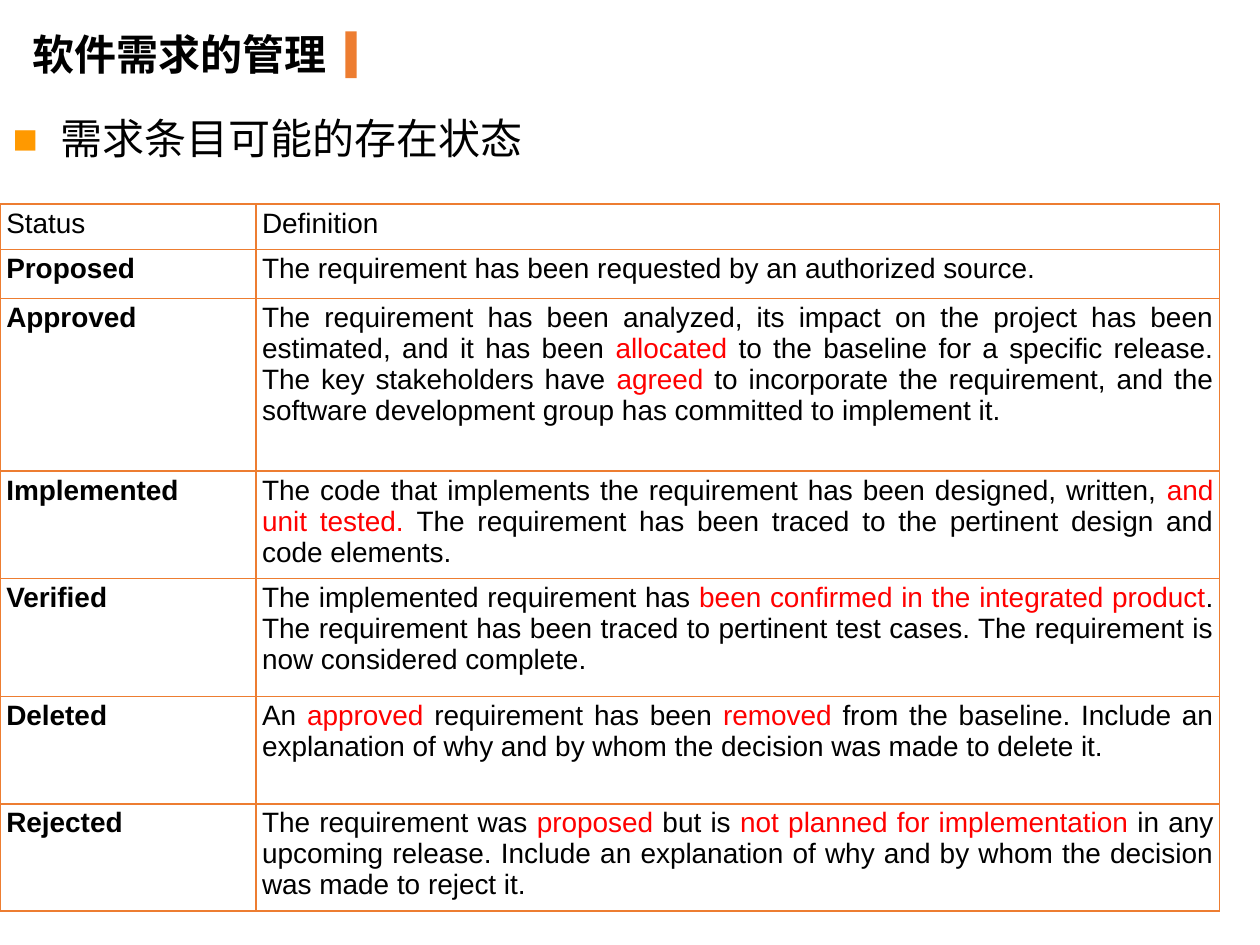
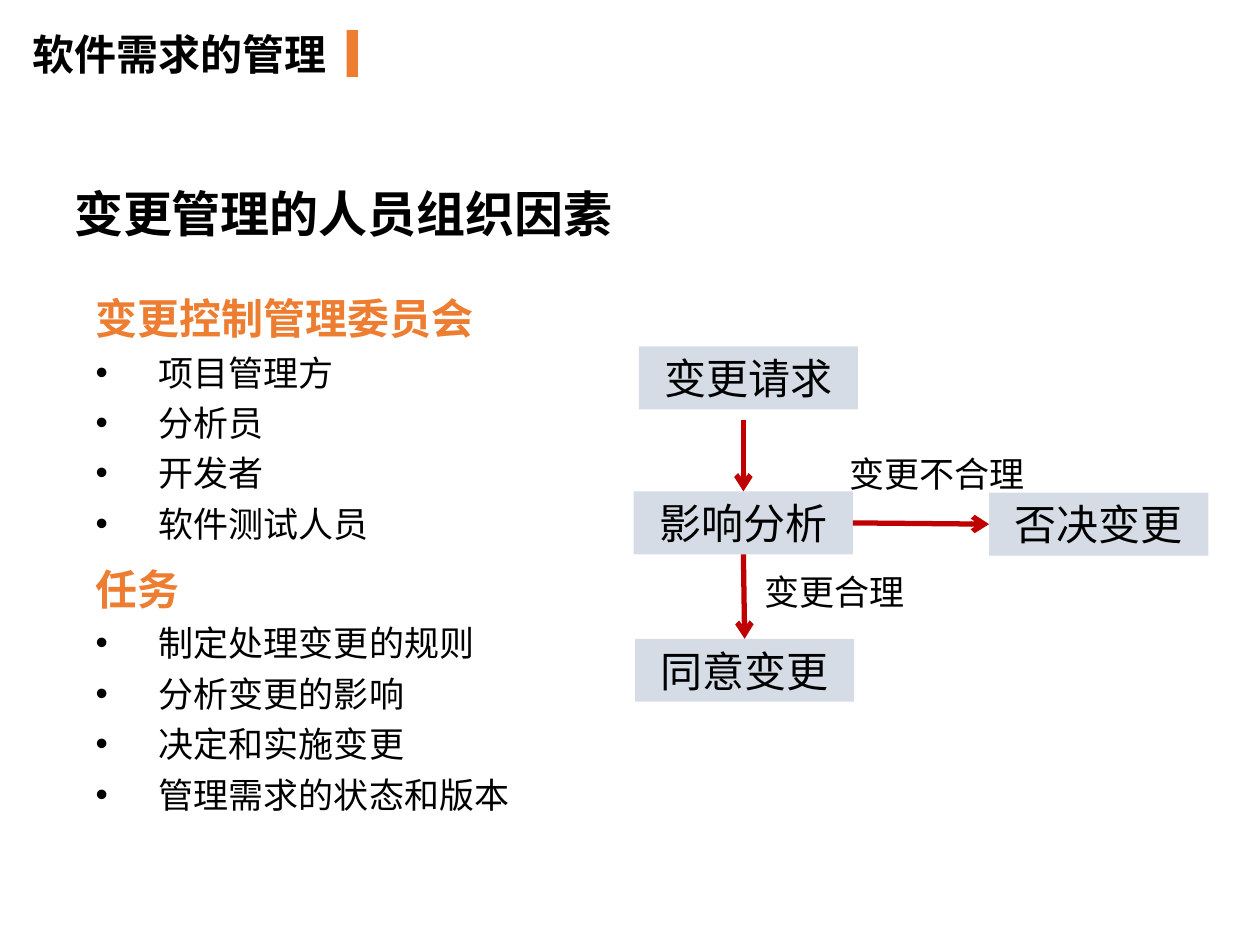
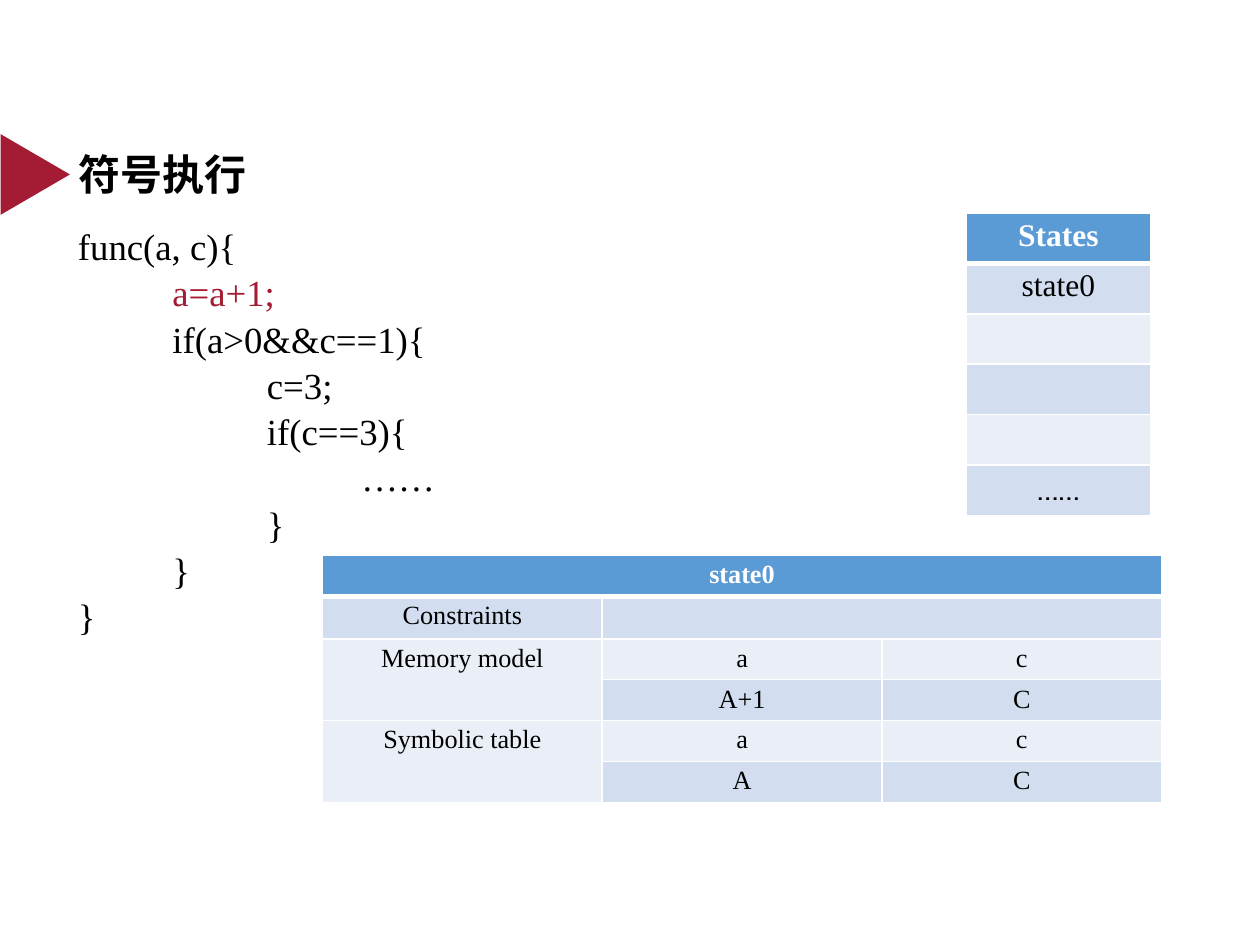
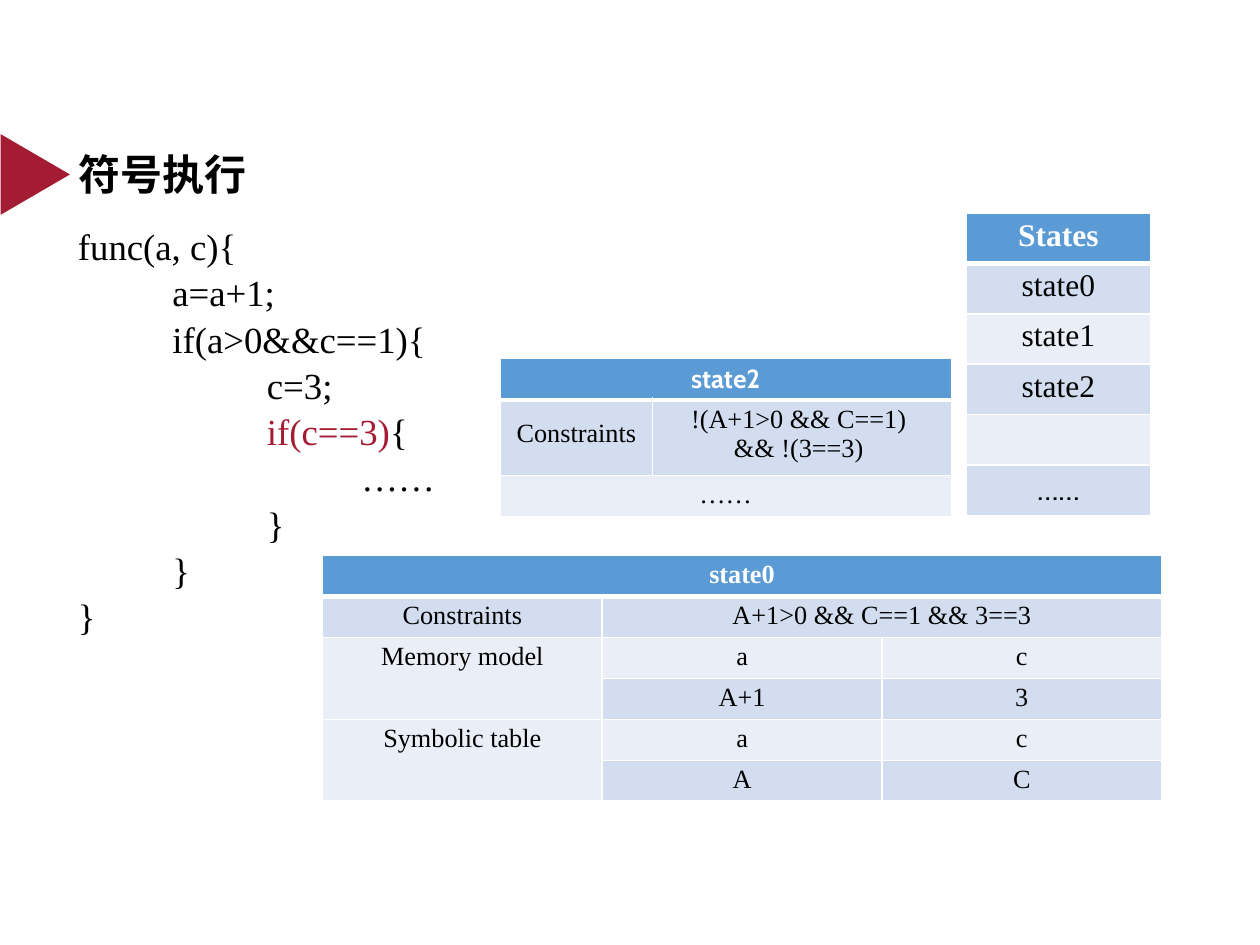
from dataclasses import dataclass
from typing import NamedTuple, Optional

from lxml.etree import SubElement
from pptx import Presentation
from pptx.dml.color import RGBColor
from pptx.enum.shapes import MSO_CONNECTOR, MSO_SHAPE
from pptx.enum.text import MSO_ANCHOR, MSO_AUTO_SIZE, PP_ALIGN
from pptx.oxml.ns import qn
from pptx.util import Inches, Pt

# Shared colours and fonts
BLACK = RGBColor(0x00, 0x00, 0x00)
WHITE = RGBColor(0xFF, 0xFF, 0xFF)
RED = RGBColor(0xFF, 0x00, 0x00)
ORANGE = RGBColor(0xED, 0x7D, 0x31)
AMBER = RGBColor(0xFF, 0x99, 0x00)
CRIMSON = RGBColor(0xA4, 0x1C, 0x34)
ARROW_RED = RGBColor(0xC0, 0x00, 0x00)
STEP_GREY = RGBColor(0xD6, 0xDC, 0xE5)
HEADER_BLUE = RGBColor(0x5B, 0x9B, 0xD5)
BAND_DARK = RGBColor(0xD2, 0xDE, 0xEF)
BAND_LIGHT = RGBColor(0xEA, 0xEF, 0xF7)

CHINESE = "Noto Sans CJK SC"
SANS = "Arial"
SERIF = "Times New Roman"
ROUNDED = "Cabin"

TITLE_AND_BODY, TITLE_ONLY = 1, 5


class Frame(NamedTuple):
    left: float
    top: float
    width: float
    height: float

    def lengths(self) -> list:
        return [Inches(value) for value in self]


@dataclass(frozen=True)
class Style:
    size: float
    font: str = CHINESE
    color: RGBColor = BLACK
    bold: bool = False
    accent: RGBColor = RED
    align: PP_ALIGN = PP_ALIGN.LEFT
    spacing: Optional[float] = None


@dataclass(frozen=True)
class Cell:
    row: int
    column: int
    text: str
    rows: int = 1
    columns: int = 1
    font: str = SERIF
    spacing: Optional[float] = None


TITLE = Style(24, bold=True)
STEP = Style(24, align=PP_ALIGN.CENTER)
STEP_LABEL = Style(20, align=PP_ALIGN.CENTER)
CODE = Style(21, SERIF, accent=CRIMSON, spacing=1.05)


# Text
def set_font(span, style: Style, color: RGBColor) -> None:
    span.font.size = Pt(style.size)
    span.font.bold = style.bold
    span.font.color.rgb = color
    span.font.name = style.font
    SubElement(span._r.get_or_add_rPr(), qn("a:ea"), typeface=style.font)


def write(para, text: str, style: Style) -> None:
    """Write one paragraph; pieces between bars take the accent colour."""
    para.alignment = style.align
    para.space_before = Pt(0)
    if style.spacing:
        para.line_spacing = style.spacing
    for index, piece in enumerate(text.split("|")):
        if piece:
            span = para.add_run()
            span.text = piece
            set_font(span, style, style.accent if index % 2 else style.color)


def write_lines(text_frame, lines: list[str], style: Style) -> None:
    for index, line in enumerate(lines):
        para = text_frame.add_paragraph() if index else text_frame.paragraphs[0]
        write(para, line, style)


def set_bullet(para, char: str, indent: float, color: Optional[RGBColor] = None) -> None:
    properties = para._p.get_or_add_pPr()
    properties.set("marL", str(Inches(indent)))
    properties.set("indent", str(-Inches(indent)))
    if color is not None:
        SubElement(SubElement(properties, qn("a:buClr")), qn("a:srgbClr"), val=str(color))
    SubElement(properties, qn("a:buFont"), typeface=SANS)
    SubElement(properties, qn("a:buChar"), char=char)


def place(shape, frame: Frame, wrap: bool = True):
    """Move a placeholder or text box and anchor its text at the top."""
    shape.left, shape.top, shape.width, shape.height = frame.lengths()
    text_frame = shape.text_frame
    text_frame.word_wrap = wrap
    text_frame.auto_size = MSO_AUTO_SIZE.NONE
    text_frame.vertical_anchor = MSO_ANCHOR.TOP
    return text_frame


def add_label(page, frame: Frame, lines: list[str], style: Style, wrap: bool = True):
    box = page.shapes.add_textbox(*frame.lengths())
    write_lines(place(box, frame, wrap), lines, style)
    return box


# Shapes
def add_block(page, kind: MSO_SHAPE, frame: Frame, fill: RGBColor):
    block = page.shapes.add_shape(kind, *frame.lengths())
    block.shadow.inherit = False
    block.fill.solid()
    block.fill.fore_color.rgb = fill
    block.line.fill.background()
    return block


def add_step(page, left: float, top: float, text: str):
    step = add_block(page, MSO_SHAPE.RECTANGLE, Frame(left, top, 1.74, 0.5), STEP_GREY)
    write(step.text_frame.paragraphs[0], text, STEP)
    return step


def add_arrow(page, start: tuple[float, float], target, target_side: int,
              source=None, source_side: int = 2) -> None:
    x, y = (Inches(value) for value in start)
    arrow = page.shapes.add_connector(MSO_CONNECTOR.STRAIGHT, x, y, x, y)
    if source is not None:
        arrow.begin_connect(source, source_side)
    arrow.end_connect(target, target_side)
    arrow.line.color.rgb = ARROW_RED
    arrow.line.width = Pt(3)
    SubElement(arrow.line._get_or_add_ln(), qn("a:tailEnd"), type="arrow")
    SubElement(arrow._element.spPr, qn("a:effectLst"))


# Tables
def set_border(cell, color: RGBColor, bottom: float = 1, top: float = 1) -> None:
    properties = cell._tc.get_or_add_tcPr()
    widths = {"a:lnL": 1, "a:lnR": 1, "a:lnT": top, "a:lnB": bottom}
    for index, (tag, width) in enumerate(widths.items()):
        line = properties.makeelement(qn(tag), {"w": str(Pt(width))})
        SubElement(SubElement(line, qn("a:solidFill")), qn("a:srgbClr"), val=str(color))
        properties.insert(index, line)


def set_margins(cell, side: float, edge: float) -> None:
    cell.margin_left = cell.margin_right = Inches(side)
    cell.margin_top = cell.margin_bottom = Inches(edge)


def add_grid(page, left: float, top: float, widths: list[float], heights: list[float]):
    frame = Frame(left, top, sum(widths), sum(heights))
    table = page.shapes.add_table(len(heights), len(widths), *frame.lengths()).table
    table.first_row = table.horz_banding = False
    for column, width in zip(table.columns, widths):
        column.width = Inches(width)
    for row, height in zip(table.rows, heights):
        row.height = Inches(height)
    return table


def add_banded_table(page, left: float, top: float, widths: list[float],
                     heights: list[float], size: float, cells: list[Cell]) -> None:
    table = add_grid(page, left, top, widths, heights)
    for row_index, row in enumerate(table.rows):
        band = BAND_DARK if row_index % 2 else BAND_LIGHT
        for cell in row.cells:
            cell.fill.solid()
            cell.fill.fore_color.rgb = band if row_index else HEADER_BLUE
            set_margins(cell, 0.07, 0.04)
            set_border(cell, WHITE, bottom=1 if row_index else 3,
                       top=3 if row_index == 1 else 1)
    for item in cells:
        cell = table.cell(item.row, item.column)
        if item.rows * item.columns > 1:
            cell.merge(table.cell(item.row + item.rows - 1, item.column + item.columns - 1))
        header = item.row == 0
        style = Style(size, item.font, WHITE if header else BLACK, bold=header,
                      align=PP_ALIGN.CENTER, spacing=item.spacing)
        write_lines(cell.text_frame, item.text.split("\n"), style)
    # Empty cells keep the table's text size so that rows do not grow
    for cell in table.iter_cells():
        if not cell.text_frame.text:
            SubElement(cell.text_frame.paragraphs[0]._p, qn("a:endParaRPr"),
                       sz=str(int(size * 100)))


# Page frames for the two topics
def add_requirements_page(deck, bar_left: float, bar_top: float):
    page = deck.slides.add_slide(deck.slide_layouts[TITLE_AND_BODY])
    title = place(page.shapes.title, Frame(0.16, 0.18, 3.42, 0.5))
    write(title.paragraphs[0], "软件需求的管理", TITLE)
    add_block(page, MSO_SHAPE.RECTANGLE, Frame(bar_left, bar_top, 0.09, 0.37), ORANGE)
    return page


def add_execution_page(deck, code: list[str], states: list[str],
                       constraint: str, memory_c: str):
    page = deck.slides.add_slide(deck.slide_layouts[TITLE_ONLY])
    title = place(page.shapes.title, Frame(0.52, 1.13, 1.55, 0.5), wrap=False)
    write(title.paragraphs[0], "符号执行", TITLE)
    marker = add_block(page, MSO_SHAPE.ISOSCELES_TRIANGLE,
                       Frame(-0.04, 1.11, 0.64, 0.55), CRIMSON)
    marker.rotation = 90

    # Program text, indented by tab stops
    listing = add_label(page, Frame(0.52, 1.71, 4.08, 3.28), code, CODE)
    for para in listing.text_frame.paragraphs:
        stops = SubElement(para._p.get_or_add_pPr(), qn("a:tabLst"))
        for level in (1, 2, 3):
            SubElement(stops, qn("a:tab"), pos=str(Inches(0.75 * level)), algn="l")

    # List of states
    names = [Cell(row, 0, name) for row, name in enumerate(["States"] + states)]
    add_banded_table(page, 7.67, 1.69, [1.46], [0.4] * 6, 18,
                     names + [Cell(5, 0, "……", font=ROUNDED)])

    # Contents of state0
    cells = [Cell(0, 0, "state0", columns=3),
             Cell(1, 0, "Constraints"), Cell(1, 1, constraint, columns=2)]
    for row, name, values in ((2, "Memory model", ("A+1", memory_c)),
                              (4, "Symbolic table", ("A", "C"))):
        cells.append(Cell(row, 0, name, rows=2))
        for column, (variable, value) in enumerate(zip("ac", values), 1):
            cells += [Cell(row, column, variable), Cell(row + 1, column, value)]
    add_banded_table(page, 2.56, 4.41, [2.22] * 3, [0.325] * 6, 15, cells)
    return page


# Slide contents
STATUSES = [
    ("Status", "Definition", 0.36),
    ("Proposed", "The requirement has been requested by an authorized source.", 0.39),
    ("Approved", "The requirement has been analyzed, its impact on the project has been "
     "estimated, and it has been |allocated| to the baseline for a specific release. The key "
     "stakeholders have |agreed| to incorporate the requirement, and the software development "
     "group has committed to implement it.", 1.37),
    ("Implemented", "The code that implements the requirement has been designed, written, "
     "|and unit tested. |The requirement has been traced to the pertinent design and code "
     "elements.", 0.85),
    ("Verified", "The implemented requirement has |been confirmed in the integrated product|. "
     "The requirement has been traced to pertinent test cases. The requirement is now "
     "considered complete.", 0.94),
    ("Deleted", "An |approved| requirement has been |removed| from the baseline. Include an "
     "explanation of why and by whom the decision was made to delete it.", 0.85),
    ("Rejected", "The requirement was |proposed| but is |not planned for implementation| in "
     "any upcoming release. Include an explanation of why and by whom the decision was made "
     "to reject it.", 0.85),
]

BOARD = {
    "变更控制管理委员会": ["项目管理方", "分析员", "开发者", "软件测试人员"],
    "任务": ["制定处理变更的规则", "分析变更的影响", "决定和实施变更", "管理需求的状态和版本"],
}

PROGRAM = ["func(a, c){", "\ta=a+1;", "\tif(a>0&&c==1){", "\t\tc=3;", "\t\tif(c==3){",
           "\t\t \t……", "\t\t}", "\t}", "}"]


def highlight(part: str) -> list[str]:
    return [line.replace(part, f"|{part}|") for line in PROGRAM]


def build_status_page(deck) -> None:
    page = add_requirements_page(deck, 2.74, 0.25)
    para = place(page.placeholders[1], Frame(0, 0.89, 9.15, 0.6)).paragraphs[0]
    set_bullet(para, "■", 0.38, AMBER)
    write(para, "需求条目可能的存在状态", Style(24, spacing=0.9))

    table = add_grid(page, 0, 1.62, [2.03, 7.65], [height for *_, height in STATUSES])
    for index, (status, definition, _) in enumerate(STATUSES):
        align = PP_ALIGN.JUSTIFY if index > 1 else PP_ALIGN.LEFT
        styles = Style(16, SANS, bold=index > 0), Style(16, SANS, align=align)
        for column, text in enumerate((status, definition)):
            cell = table.cell(index, column)
            cell.fill.background()
            set_margins(cell, 0.05, 0.03)
            set_border(cell, ORANGE)
            write(cell.text_frame.paragraphs[0], text, styles[column])


def build_change_page(deck) -> None:
    page = add_requirements_page(deck, 2.75, 0.24)
    add_label(page, Frame(0.49, 1.41, 4.52, 0.57), ["变更管理的人员组织因素"],
              Style(28, bold=True, align=PP_ALIGN.JUSTIFY), wrap=False)

    # Board members and tasks
    body = place(page.placeholders[1], Frame(0.66, 2.19, 5, 4.37))
    heading = Style(24, color=ORANGE, bold=True, align=PP_ALIGN.JUSTIFY, spacing=1.2)
    entry = Style(20, align=PP_ALIGN.JUSTIFY, spacing=1.2)
    para = body.paragraphs[0]
    for index, (group, members) in enumerate(BOARD.items()):
        if index:
            para.space_after = Pt(5)
            para = body.add_paragraph()
        properties = para._p.get_or_add_pPr()
        properties.set("marL", "0")
        properties.set("indent", "0")
        SubElement(properties, qn("a:buNone"))
        write(para, group, heading)
        for member in members:
            para = body.add_paragraph()
            set_bullet(para, "•", 0.5)
            write(para, member, entry)

    # Flow of a change request
    add_step(page, 5.07, 2.75, "变更请求")
    analysis = add_step(page, 5.03, 3.9, "影响分析")
    rejected = add_step(page, 7.85, 3.91, "否决变更")
    accepted = add_step(page, 5.04, 5.07, "同意变更")
    add_arrow(page, (5.9, 3.33), analysis, 0)
    add_arrow(page, (5.9, 4.4), accepted, 0, analysis, 2)
    add_arrow(page, (6.77, 4.15), rejected, 1, analysis, 3)
    add_label(page, Frame(6.37, 3.54, 2.13, 0.44), ["变更不合理"], STEP_LABEL)
    add_label(page, Frame(5.87, 4.48, 1.51, 0.44), ["变更合理"], STEP_LABEL)


def build_execution_pages(deck) -> None:
    add_execution_page(deck, highlight("a=a+1;"), ["state0"], "", "C")
    page = add_execution_page(deck, highlight("if(c==3)"), ["state0", "state1", "state2"],
                              "A+1>0 && C==1 && 3==3", "3")
    # Contents of state2
    add_banded_table(page, 3.97, 2.84, [1.21, 2.37], [0.33, 0.6, 0.33], 15, [
        Cell(0, 0, "state2", columns=2, font=ROUNDED),
        Cell(1, 0, "Constraints", spacing=1.5),
        Cell(1, 1, "!(A+1>0 && C==1) \n&& !(3==3) "),
        Cell(2, 0, "……", columns=2),
    ])


def main() -> None:
    deck = Presentation()
    deck.slide_width, deck.slide_height = Inches(10), Inches(7.5)
    build_status_page(deck)
    build_change_page(deck)
    build_execution_pages(deck)
    deck.save("out.pptx")


if __name__ == "__main__":
    main()
